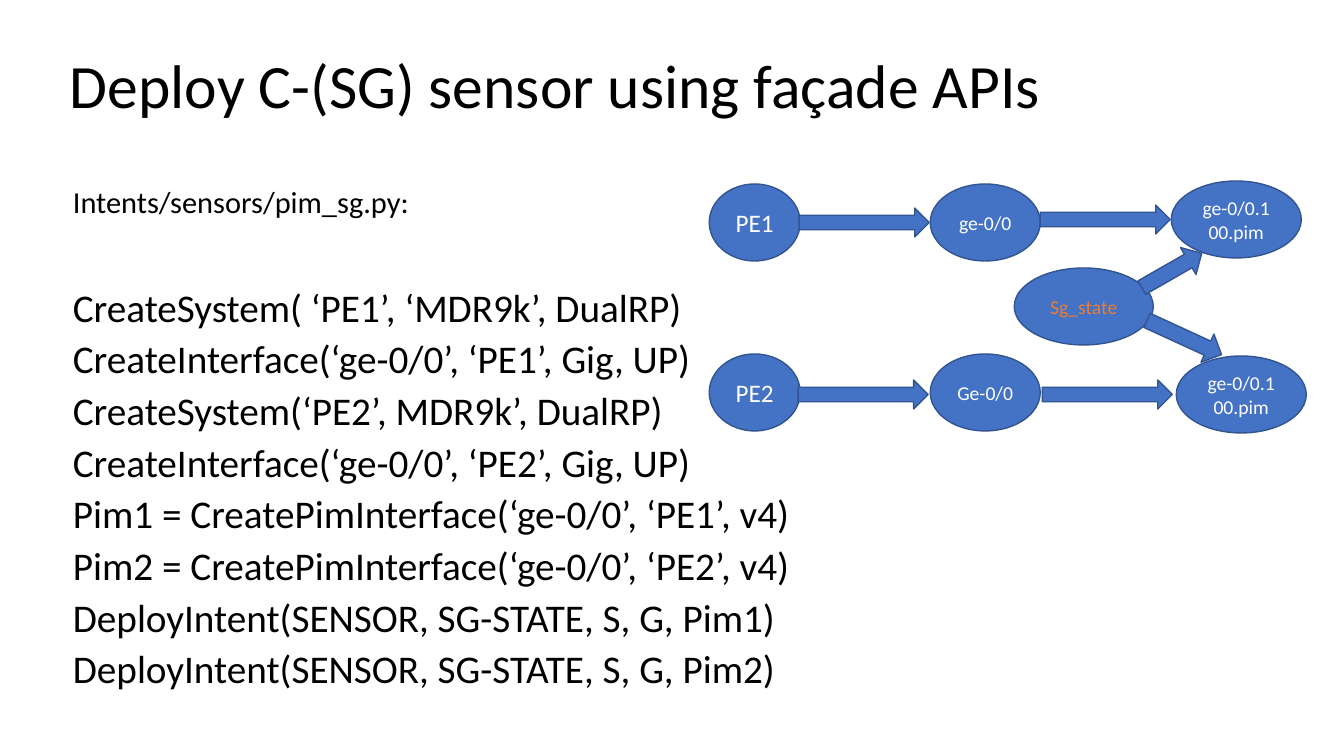
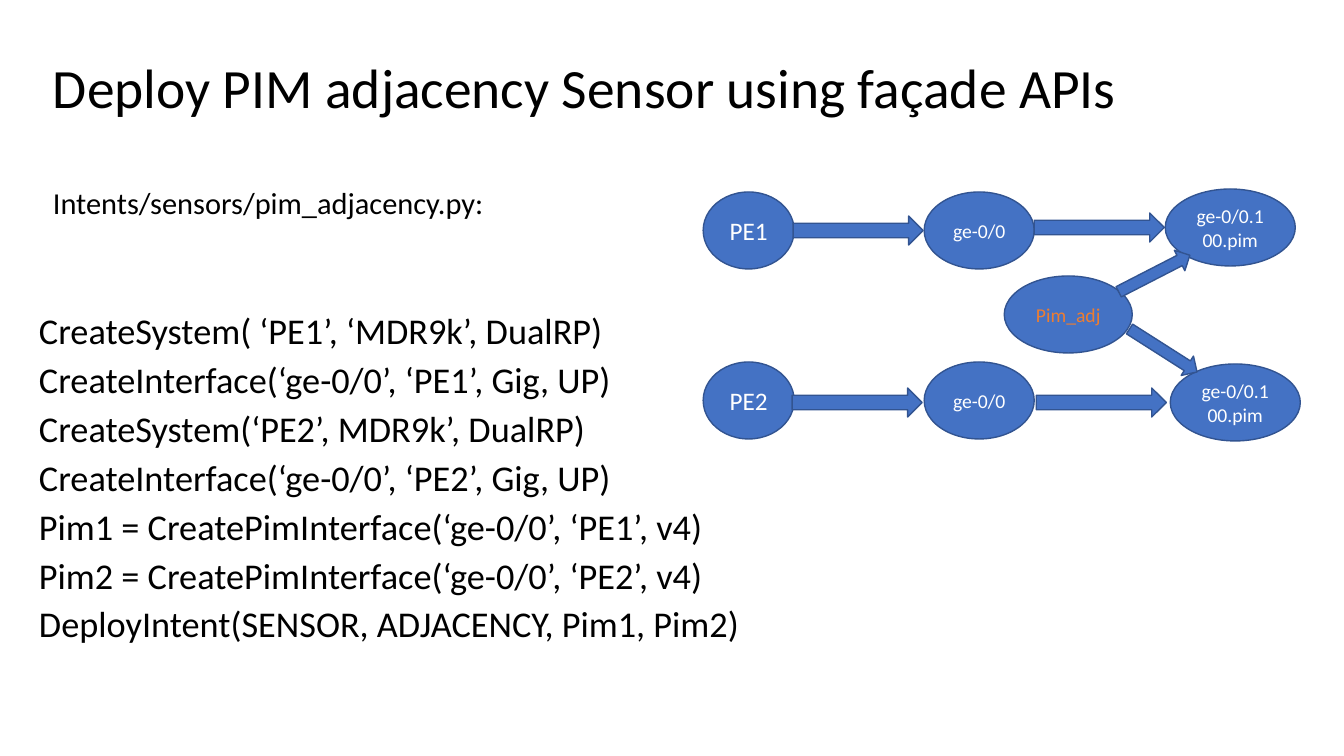
import pptx
import pptx.util
import pptx.dml.color
import pptx.enum.shapes
import pptx.enum.text

SCALE = 914400 / 100.8
FONT = "Calibri"
BLACK, WHITE = "000000", "FFFFFF"
BLUE, EDGE, ORANGE = "4472C4", "325491", "ED7D31"

CALLS = [
    "CreateSystem( ‘PE1’, ‘MDR9k’, DualRP)",
    "CreateInterface(‘ge-0/0’, ‘PE1’, Gig, UP)",
    "CreateSystem(‘PE2’, MDR9k’, DualRP)",
    "CreateInterface(‘ge-0/0’, ‘PE2’, Gig, UP)",
    "Pim1 = CreatePimInterface(‘ge-0/0’, ‘PE1’, v4)",
    "Pim2 = CreatePimInterface(‘ge-0/0’, ‘PE2’, v4)",
]
PIM = "ge-0/0.100.pim"

SLIDES = [
    dict(
        title=("Deploy C-(SG) sensor using façade APIs", 44, (60, 38, 1159, 101)),
        file=("Intents/sensors/pim_sg.py:", (63, 188, 951, 42)),
        code=(CALLS + ["DeployIntent(SENSOR, SG-STATE, S, G, Pim1)",
                       "DeployIntent(SENSOR, SG-STATE, S, G, Pim2)"],
              28, (63, 287, 946, 433)),
        shift=(0, 0),
        ports=("ge-0/0", "Ge-0/0"),
        state=("Sg_state", (1014, 268, 139, 77)),
        slants=[((1137, 255, 69, 31), 330.2), ((1143, 322, 82, 31), 24.7)],
    ),
    dict(
        title=("Deploy PIM adjacency Sensor using façade APIs", 39.6, (43, 40, 1159, 101)),
        file=("Intents/sensors/pim_adjacency.py:", (43, 189, 951, 42)),
        code=(CALLS + ["DeployIntent(SENSOR, ADJACENCY, Pim1, Pim2)"],
              25.9, (29, 312, 745, 404)),
        shift=(-6, 8),
        ports=("ge-0/0", "ge-0/0"),
        state=("Pim_adj", (1004, 276, 128, 77)),
        slants=[((1114, 262, 80, 23), 332.8), ((1123, 339, 80, 23), 32.5)],
    ),
]

ROWS = [
    dict(node="PE1", top=184, pim=(1171, 181), links=[(799, 208), (1040, 205)]),
    dict(node="PE2", top=354, pim=(1176, 356), links=[(798, 380), (1042, 380)]),
]
TALL = 77
LINK = (130, 29)

KIND = pptx.enum.shapes.MSO_SHAPE
ALIGN = pptx.enum.text.PP_ALIGN
MIDDLE = pptx.enum.text.MSO_ANCHOR.MIDDLE


def color(code):
    return pptx.dml.color.RGBColor.from_string(code)


def place(box):
    return [pptx.util.Emu(round(v * SCALE)) for v in box]


def write(para, text, size, ink):
    run = para.add_run()
    run.text = text
    run.font.name = FONT
    run.font.size = pptx.util.Pt(size)
    run.font.color.rgb = color(ink)


def add_text(slide, lines, size, box, space, gap=0, anchor=None):
    frame = slide.shapes.add_textbox(*place(box)).text_frame
    frame.word_wrap = True
    if anchor is not None:
        frame.vertical_anchor = anchor
    for i, line in enumerate(lines):
        para = frame.add_paragraph() if i else frame.paragraphs[0]
        para.line_spacing = space
        para.space_before = pptx.util.Pt(gap)
        write(para, line, size, BLACK)


def add_shape(slide, kind, box, turn=0):
    shape = slide.shapes.add_shape(kind, *place(box))
    shape.shadow.inherit = False
    shape.fill.solid()
    shape.fill.fore_color.rgb = color(BLUE)
    shape.line.color.rgb = color(EDGE)
    shape.line.width = pptx.util.Pt(1)
    shape.rotation = turn
    return shape


def add_node(slide, text, box, size=14, ink=WHITE):
    frame = add_shape(slide, KIND.OVAL, box).text_frame
    frame.word_wrap = True
    frame.vertical_anchor = MIDDLE
    para = frame.paragraphs[0]
    para.alignment = ALIGN.CENTER
    write(para, text, size, ink)


def draw_graph(slide, data):
    dx, dy = data["shift"]
    for row, port in zip(ROWS, data["ports"]):
        top = row["top"] + dy
        left, high = row["pim"]
        add_node(slide, row["node"], (709 + dx, top, 91, TALL), 18)
        add_node(slide, port, (930 + dx, top, 110, TALL))
        add_node(slide, PIM, (left + dx, high + dy, 130, TALL))
    for row in ROWS:
        for x, y in row["links"]:
            add_shape(slide, KIND.RIGHT_ARROW, (x + dx, y + dy, *LINK))
    text, box = data["state"]
    add_node(slide, text, box, ink=ORANGE)
    for box, turn in data["slants"]:
        add_shape(slide, KIND.RIGHT_ARROW, box, turn)


deck = pptx.Presentation()
deck.slide_width = pptx.util.Inches(13.33)
deck.slide_height = pptx.util.Inches(7.5)
for data in SLIDES:
    slide = deck.slides.add_slide(deck.slide_layouts[6])
    title, size, box = data["title"]
    add_text(slide, [title], size, box, 0.9, anchor=MIDDLE)
    lines, size, box = data["code"]
    add_text(slide, lines, size, box, 0.8, 10)
    name, box = data["file"]
    add_text(slide, [name], 21.7, box, 0.7, 10)
    draw_graph(slide, data)
deck.save("out.pptx")
